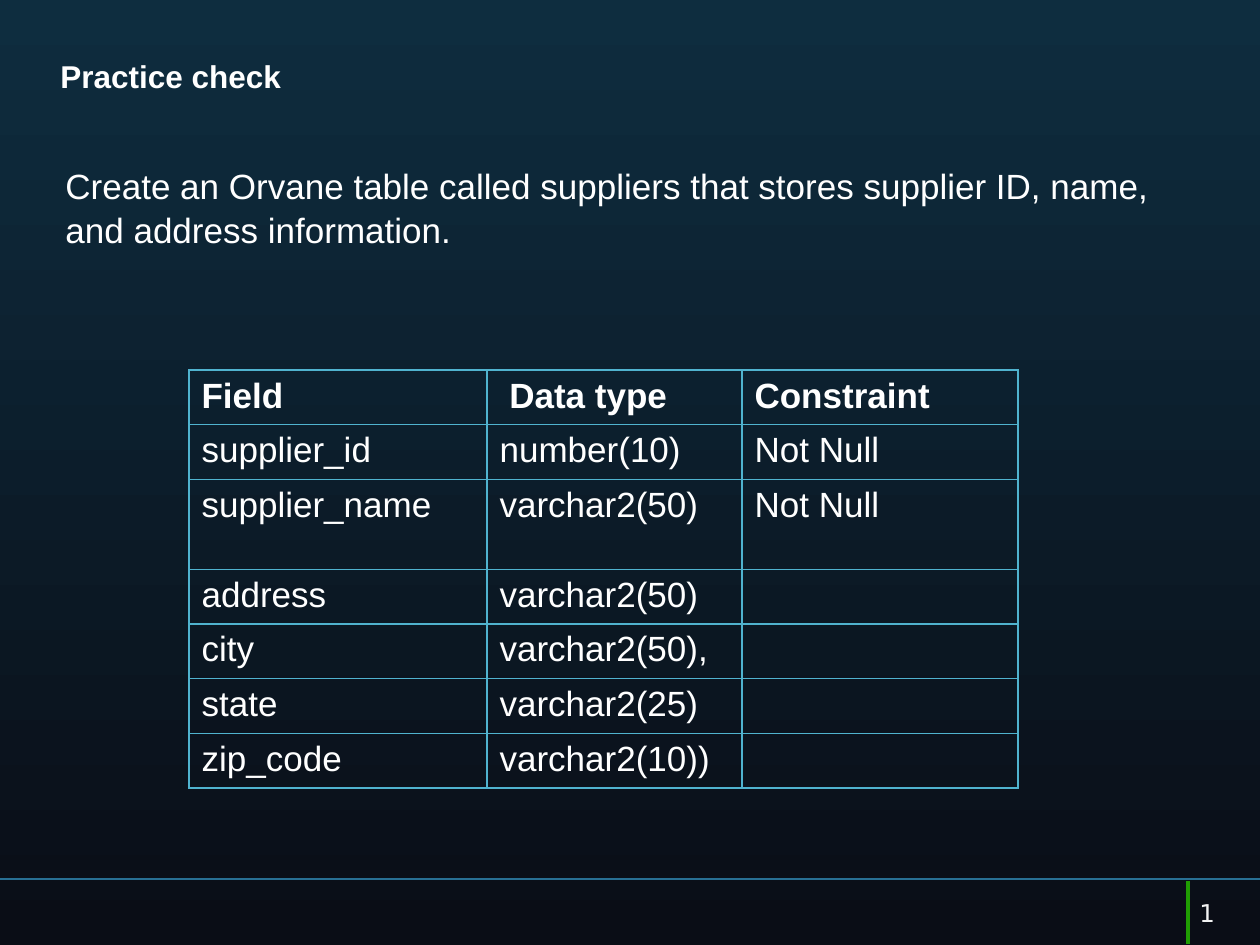
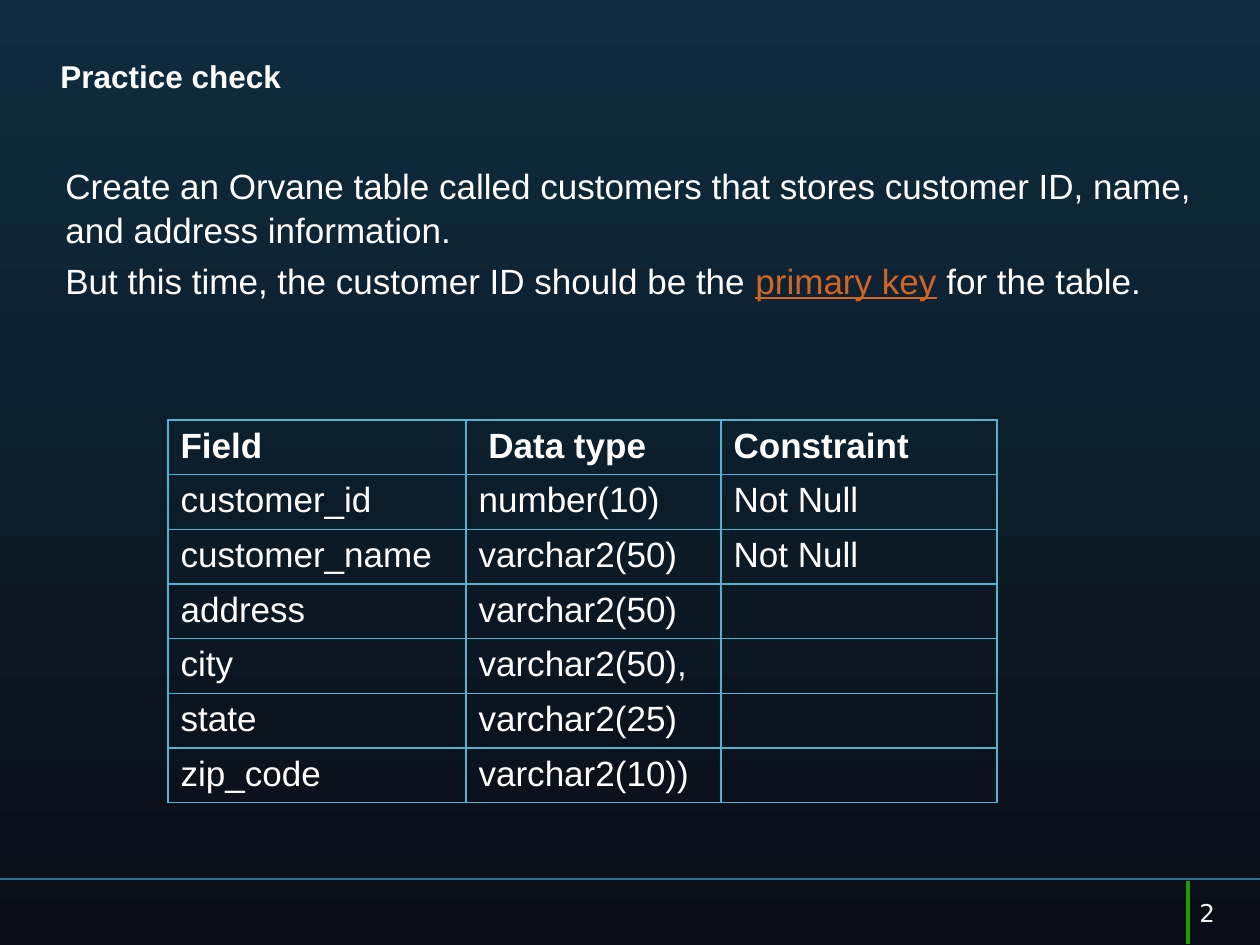
from dataclasses import dataclass, field

from lxml.etree import SubElement
from pptx import Presentation
from pptx.dml.color import RGBColor
from pptx.enum.shapes import MSO_CONNECTOR
from pptx.oxml.ns import qn
from pptx.presentation import Presentation as Deck
from pptx.slide import Slide
from pptx.table import _Cell as Cell
from pptx.text.text import Font, TextFrame
from pptx.util import Emu, Pt

EMU_PER_PIXEL = 914400 / 126


@dataclass(frozen=True)
class Theme:
    background_top: str = "0E2D3F"
    background_bottom: str = "0A0D16"
    text: str = "FFFFFF"
    number: str = "F2F2F2"
    emphasis: str = "D36522"
    rule: str = "287094"
    marker: str = "209D03"
    border: str = "50B3CF"
    font: str = "Arial"
    number_font: str = "DejaVu Sans"
    title_size: int = 18
    body_size: int = 20
    number_size: int = 14
    line_spacing: float = 1.05
    space_before: int = 4


@dataclass(frozen=True)
class Box:
    left: int
    top: int
    width: int
    height: int


@dataclass(frozen=True)
class Line:
    start: tuple[int, int]
    end: tuple[int, int]
    color: str
    weight: float


@dataclass(frozen=True)
class TextRun:
    text: str
    emphasized: bool = False


@dataclass(frozen=True)
class Exercise:
    entity: str
    table_left: int
    table_top: int
    extra_task: tuple[TextRun, ...] = ()
    row_heights: dict[int, int] = field(default_factory=dict)


THEME = Theme()
PAGE = Box(0, 0, 1260, 945)
TITLE = Box(48, 49, 1157, 83)
BODY = Box(53, 156, 1155, 638)
NUMBER = Box(1187, 892, 73, 32)
FOOTER_LINES = (
    Line((1260, 879), (0, 879), THEME.rule, 0.75),
    Line((1188, 881), (1188, 944), THEME.marker, 2),
)
COLUMN_WIDTHS = (298, 255, 276)
ROW_HEIGHT = 52
HEADER = ("Field", " Data type", "Constraint")
EXERCISES = (
    Exercise("supplier", 189, 370, row_heights={2: 90}),
    Exercise(
        "customer", 168, 420,
        extra_task=(
            TextRun("But this time, the customer ID should be the "),
            TextRun("primary key", emphasized=True),
            TextRun(" for the table."),
        ),
    ),
)


def pixels(value: int) -> Emu:
    return Emu(round(value * EMU_PER_PIXEL))


def place(box: Box) -> tuple[Emu, Emu, Emu, Emu]:
    return pixels(box.left), pixels(box.top), pixels(box.width), pixels(box.height)


def style_font(font: Font, size: int, color: str = THEME.text,
               name: str = THEME.font, bold: bool = False) -> None:
    font.name = name
    font.size = Pt(size)
    font.bold = bold
    font.color.rgb = RGBColor.from_string(color)


def set_background(presentation: Deck) -> None:
    fill = presentation.slide_master.background.fill
    fill.gradient()
    fill.gradient_angle = 270
    colors = (THEME.background_top, THEME.background_bottom)
    for stop, color in zip(fill.gradient_stops, colors):
        stop.color.rgb = RGBColor.from_string(color)


def add_text_frame(slide: Slide, box: Box) -> TextFrame:
    text_frame = slide.shapes.add_textbox(*place(box)).text_frame
    text_frame.word_wrap = True
    return text_frame


def add_line(slide: Slide, line: Line) -> None:
    connector = slide.shapes.add_connector(
        MSO_CONNECTOR.STRAIGHT, *map(pixels, line.start + line.end))
    connector.line.color.rgb = RGBColor.from_string(line.color)
    connector.line.width = Pt(line.weight)
    SubElement(connector._element.spPr, qn("a:effectLst"))


def add_title(slide: Slide) -> None:
    text_frame = add_text_frame(slide, TITLE)
    text_frame.text = "Practice check"
    paragraph = text_frame.paragraphs[0]
    paragraph.line_spacing = THEME.line_spacing
    style_font(paragraph.runs[0].font, THEME.title_size, bold=True)


def add_body(slide: Slide, exercise: Exercise) -> None:
    entity = exercise.entity
    task = TextRun(f"Create an Orvane table called {entity}s that stores "
                   f"{entity} ID, name, and address information.")
    text_frame = add_text_frame(slide, BODY)
    for index, text_runs in enumerate(filter(None, ((task,), exercise.extra_task))):
        paragraph = text_frame.add_paragraph() if index else text_frame.paragraphs[0]
        paragraph.line_spacing = THEME.line_spacing
        paragraph.space_before = Pt(THEME.space_before)
        for text_run in text_runs:
            run = paragraph.add_run()
            run.text = text_run.text
            color = THEME.emphasis if text_run.emphasized else THEME.text
            style_font(run.font, THEME.body_size, color)
            run.font.underline = text_run.emphasized


def add_number(slide: Slide, number: int) -> None:
    text_frame = add_text_frame(slide, NUMBER)
    text_frame.text = str(number)
    style_font(text_frame.paragraphs[0].runs[0].font, THEME.number_size,
               THEME.number, THEME.number_font)


def style_cell(cell: Cell, bold: bool) -> None:
    properties = cell._tc.get_or_add_tcPr()
    for side in ("a:lnL", "a:lnR", "a:lnT", "a:lnB"):
        border = SubElement(properties, qn(side), w=str(Pt(1)))
        solid = SubElement(border, qn("a:solidFill"))
        SubElement(solid, qn("a:srgbClr"), val=THEME.border)
    cell.fill.background()
    style_font(cell.text_frame.paragraphs[0].font, THEME.body_size, bold=bold)
    for run in cell.text_frame.paragraphs[0].runs:
        style_font(run.font, THEME.body_size, bold=bold)


def add_field_table(slide: Slide, exercise: Exercise) -> None:
    rows = (
        HEADER,
        (f"{exercise.entity}_id", "number(10)", "Not Null"),
        (f"{exercise.entity}_name", "varchar2(50)", "Not Null"),
        ("address", "varchar2(50)", ""),
        ("city", "varchar2(50),", ""),
        ("state", "varchar2(25)", ""),
        ("zip_code", "varchar2(10))", ""),
    )
    heights = [exercise.row_heights.get(index, ROW_HEIGHT) for index in range(len(rows))]
    box = Box(exercise.table_left, exercise.table_top, sum(COLUMN_WIDTHS), sum(heights))
    table = slide.shapes.add_table(len(rows), len(HEADER), *place(box)).table
    table.first_row = False
    table.horz_banding = False
    for column, width in zip(table.columns, COLUMN_WIDTHS):
        column.width = pixels(width)
    for row_index, (row, height, values) in enumerate(zip(table.rows, heights, rows)):
        row.height = pixels(height)
        for cell, value in zip(row.cells, values):
            cell.text = value
            style_cell(cell, bold=row_index == 0)


def add_exercise_slide(presentation: Deck, number: int, exercise: Exercise) -> None:
    slide = presentation.slides.add_slide(presentation.slide_layouts[6])
    for line in FOOTER_LINES:
        add_line(slide, line)
    add_title(slide)
    add_body(slide, exercise)
    add_number(slide, number)
    add_field_table(slide, exercise)


def main() -> None:
    presentation = Presentation()
    presentation.slide_width = pixels(PAGE.width)
    presentation.slide_height = pixels(PAGE.height)
    set_background(presentation)
    for number, exercise in enumerate(EXERCISES, start=1):
        add_exercise_slide(presentation, number, exercise)
    presentation.save("out.pptx")


main()
